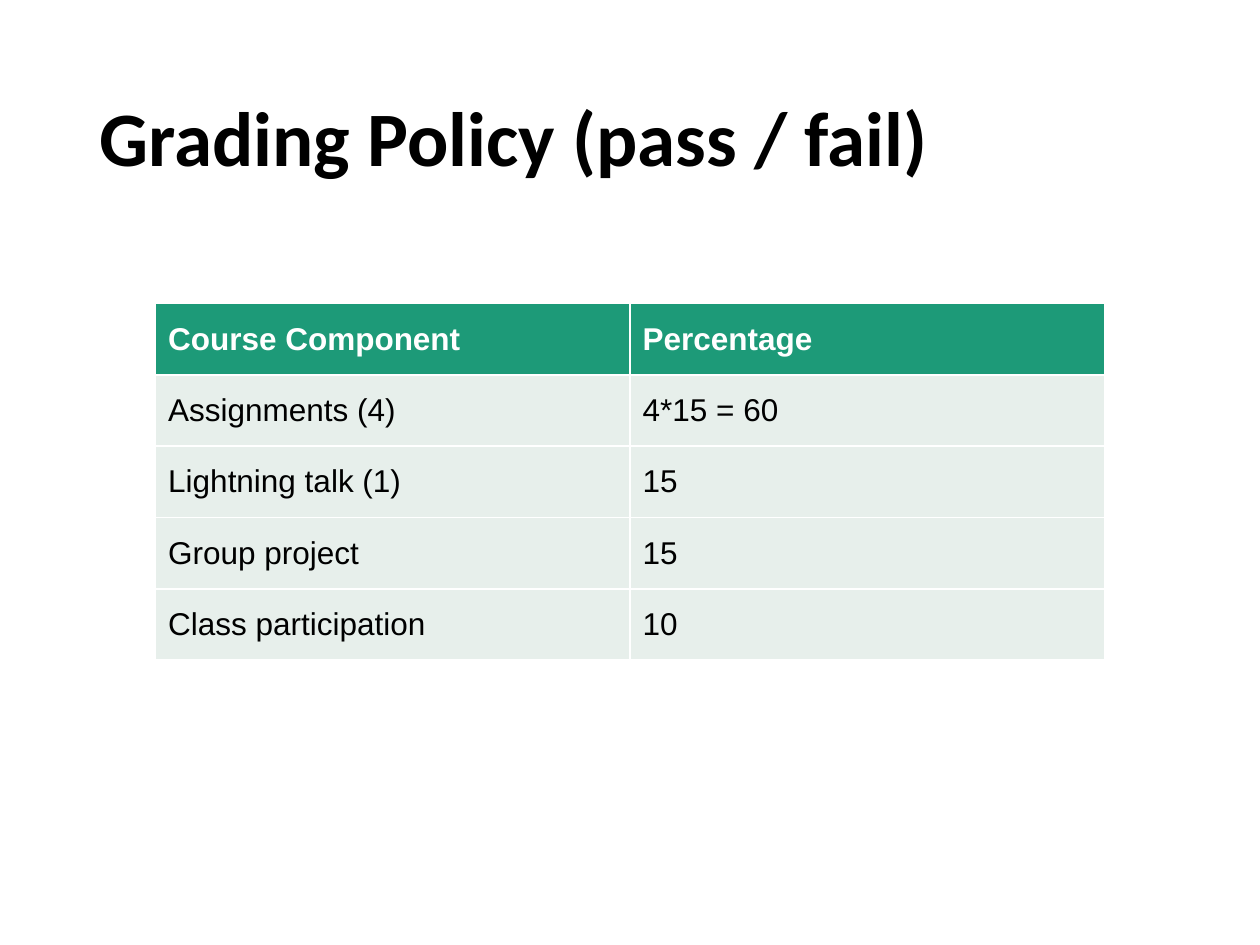
from dataclasses import dataclass

from pptx import Presentation
from pptx.dml.color import RGBColor
from pptx.enum.text import MSO_ANCHOR
from pptx.slide import Slide
from pptx.util import Inches, Pt

COLORS = {"ink": "000000", "paper": "FFFFFF", "header": "1D9A78", "body": "E7EFEB"}
COLUMNS, ROWS = 100, 75
GRADING = [
    ("Course Component", "Percentage"),
    ("Assignments (4)", "4*15 = 60"),
    ("Lightning talk (1)", "15"),
    ("Group project", "15"),
    ("Class participation", "10"),
]


@dataclass
class SlideBuilder:
    """Places styled elements on a slide by grid columns and rows."""

    slide: Slide
    width: int
    height: int
    title_font: str = "Calibri"
    table_font: str = "Arial"

    def place(self, column, row, columns, rows):
        across, down = self.width / COLUMNS, self.height / ROWS
        return [round(length) for length in (column * across, row * down, columns * across, rows * down)]

    def add_span(self, para, text, font, size, color, bold=False):
        span = para.add_run()
        span.text = text
        span.font.name = font
        span.font.size = Pt(size)
        span.font.bold = bold
        span.font.color.rgb = RGBColor.from_string(COLORS[color])

    def title(self, text, *area):
        box = self.slide.shapes.add_textbox(*self.place(*area))
        frame = box.text_frame
        frame.word_wrap = True
        frame.vertical_anchor = MSO_ANCHOR.MIDDLE
        para = frame.paragraphs[0]
        para.line_spacing = 0.9
        self.add_span(para, text, self.title_font, 44, "ink", bold=True)

    def table(self, records, *area):
        frame = self.slide.shapes.add_table(len(records), len(records[0]), *self.place(*area))
        table = frame.table
        table.horz_banding = False
        for row, record in enumerate(records):
            is_header = row == 0
            for column, text in enumerate(record):
                cell = table.cell(row, column)
                cell.vertical_anchor = MSO_ANCHOR.MIDDLE
                cell.fill.solid()
                cell.fill.fore_color.rgb = RGBColor.from_string(COLORS["header" if is_header else "body"])
                color = "paper" if is_header else "ink"
                self.add_span(cell.text_frame.paragraphs[0], text, self.table_font, 18, color, is_header)


def main():
    deck = Presentation()
    deck.slide_width, deck.slide_height = Inches(10), Inches(7.5)
    page = deck.slides.add_slide(deck.slide_layouts[6])
    builder = SlideBuilder(page, deck.slide_width, deck.slide_height)
    builder.title("Grading Policy (pass / fail)", 6.9, 4, 86.2, 14.5)
    builder.table(GRADING, 12.35, 24.1, 75.3, 28.3)
    deck.save("out.pptx")


if __name__ == "__main__":
    main()
